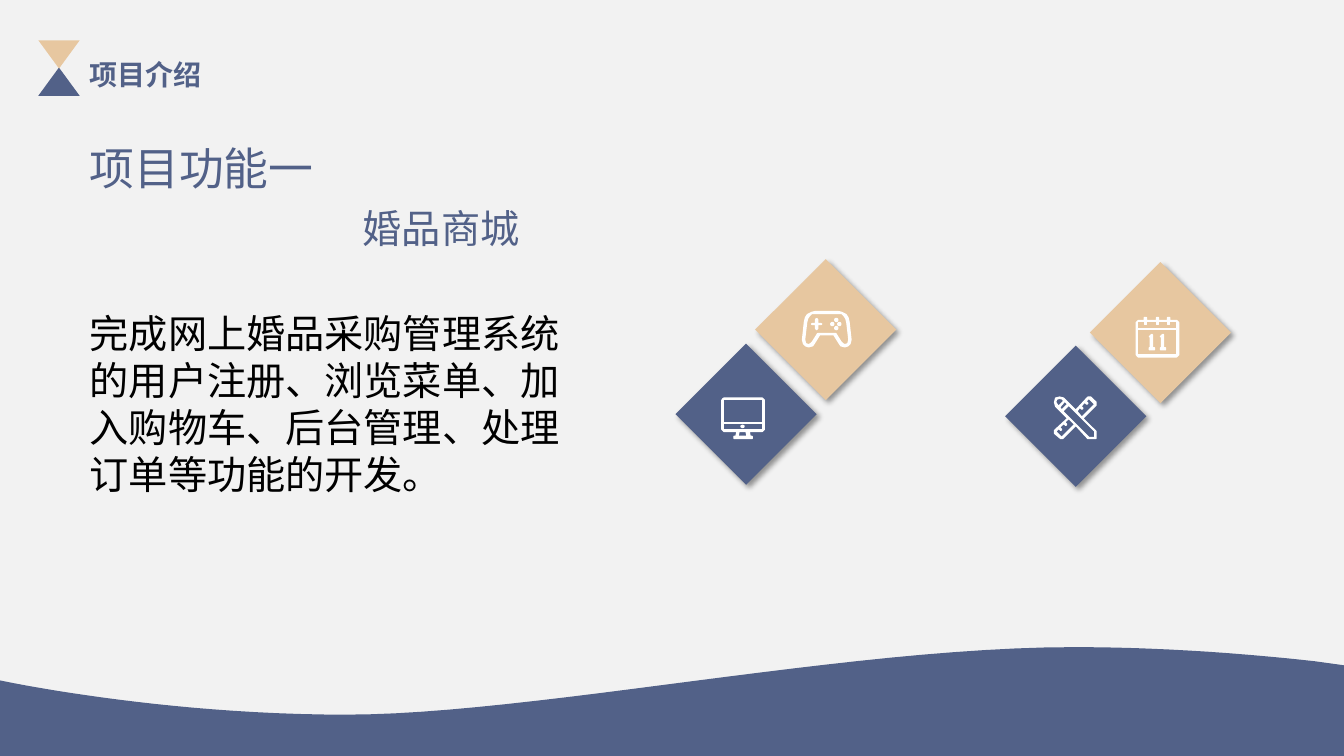
from dataclasses import dataclass

from lxml.etree import SubElement
from pptx import Presentation
from pptx.dml.color import RGBColor
from pptx.enum.shapes import MSO_SHAPE
from pptx.enum.text import MSO_ANCHOR, MSO_AUTO_SIZE, PP_ALIGN
from pptx.oxml.ns import qn
from pptx.util import Emu, Pt

PX = 9144  # EMU in one px: 100 px to the inch
NAVY = RGBColor(0x52, 0x61, 0x88)
SAND = RGBColor(0xE7, 0xC7, 0xA0)
WHITE = RGBColor(0xFF, 0xFF, 0xFF)
BLACK = RGBColor(0, 0, 0)
PAPER = RGBColor(0xF2, 0xF2, 0xF2)
LATIN, CHINESE = "Arial", "Noto Sans CJK SC"
DIAMOND = 140

Point = tuple[float, float]
Contour = list[Point]


@dataclass
class Label:
    text: str
    frame: tuple[int, int, int, int]
    size: int
    color: RGBColor = NAVY
    font: str = LATIN
    bold: bool = False
    align: PP_ALIGN = PP_ALIGN.LEFT


@dataclass
class Preset:
    kind: MSO_SHAPE
    frame: tuple[int, int, int, int]
    color: RGBColor
    rotation: int = 0
    outlined: bool = False
    shadowed: bool = False


def px(*lengths: float) -> list[Emu]:
    return [Emu(round(length * PX)) for length in lengths]


def rectangle(left: int, top: int, right: int, bottom: int) -> Contour:
    return [(left, top), (right, top), (right, bottom), (left, bottom)]


def curve(start: Point, first: Point, second: Point, end: Point, steps: int = 24) -> Contour:
    """Points along a cubic Bezier curve, both ends included."""
    points = []
    for step in range(steps + 1):
        t = step / steps
        weights = ((1 - t) ** 3, 3 * t * (1 - t) ** 2, 3 * t * t * (1 - t), t ** 3)
        corners = (start, first, second, end)
        points.append(tuple(sum(w * c[axis] for w, c in zip(weights, corners)) for axis in (0, 1)))
    return points


def mirrored(half: Contour, axis: int) -> Contour:
    """Close a left half with its reflection in a vertical axis."""
    return half + [(2 * axis - x, y) for x, y in reversed(half)]


def shifted(contour: Contour, dx: int) -> Contour:
    return [(x + dx, y) for x, y in contour]


def paint(shape, color: RGBColor, outlined: bool) -> None:
    shape.shadow.inherit = False
    shape.fill.solid()
    shape.fill.fore_color.rgb = color
    if outlined:
        shape.line.color.rgb = color
        shape.line.width = Pt(1)
    else:
        shape.line.fill.background()


def cast_shadow(shape) -> None:
    effects = shape._element.spPr.find(qn("a:effectLst"))
    shadow = SubElement(effects, qn("a:outerShdw"), blurRad=str(Pt(4)), dist=str(Pt(3)),
                        dir="2700000", algn="tl", rotWithShape="0")
    color = SubElement(shadow, qn("a:srgbClr"), val=str(BLACK))
    SubElement(color, qn("a:alpha"), val="40000")


def draw_preset(shapes, preset: Preset) -> None:
    shape = shapes.add_shape(preset.kind, *px(*preset.frame))
    shape.rotation = preset.rotation
    paint(shape, preset.color, preset.outlined)
    if preset.shadowed:
        cast_shadow(shape)


def draw_outline(shapes, contours: list[Contour], color: RGBColor, outlined: bool = True) -> None:
    """Draw one freeform; inner contours cut holes."""
    builder = shapes.build_freeform(*px(*contours[0][0]), scale=1.0)
    for index, contour in enumerate(contours):
        if index:
            builder.move_to(*px(*contour[0]))
        builder.add_line_segments([px(*point) for point in contour[1:]], close=True)
    paint(builder.convert_to_shape(), color, outlined)


def write_label(box, label: Label) -> None:
    box.left, box.top, box.width, box.height = px(*label.frame)
    frame = box.text_frame
    layout = dict(word_wrap=True, auto_size=MSO_AUTO_SIZE.SHAPE_TO_FIT_TEXT,
                  vertical_anchor=MSO_ANCHOR.TOP)
    for name, value in layout.items():
        setattr(frame, name, value)
    para = frame.paragraphs[0]
    para.alignment = label.align
    para.space_before = Pt(0)
    properties = para._p.get_or_add_pPr()
    properties.set("marL", "0")
    properties.set("indent", "0")
    SubElement(properties, qn("a:buNone"))
    span = para.add_run()
    span.text = label.text
    for name, value in dict(name=label.font, size=Pt(label.size), bold=label.bold).items():
        setattr(span.font, name, value)
    span.font.color.rgb = label.color
    SubElement(span._r.get_or_add_rPr(), qn("a:ea"), typeface=CHINESE)


TITLE = Label("项目介绍", (79, 52, 179, 44), 20, bold=True, align=PP_ALIGN.JUSTIFY)
BODY = Label("完成网上婚品采购管理系统的用户注册、浏览菜单、加入购物车、后台管理、处理订单等功能的开发。",
             (79, 302, 488, 198), 28, BLACK, CHINESE)
HEADINGS = [
    Label("项目功能一", (79, 135, 317, 64), 32, align=PP_ALIGN.JUSTIFY),
    Label("婚品商城", (350, 198, 236, 57), 28),
]
WAVE = (
    curve((0, 675), (0, 675), (157, 709), (343, 709))
    + curve((343, 709), (528, 709), (840, 642), (1065, 642))
    + curve((1065, 642), (1149, 642), (1232, 648), (1304, 656))
    + [(1333, 660), (1333, 753), (0, 753)]
)
HOURGLASS = [
    Preset(MSO_SHAPE.ISOSCELES_TRIANGLE, (38, 67, 41, 28), NAVY),
    Preset(MSO_SHAPE.ISOSCELES_TRIANGLE, (38, 40, 41, 28), SAND, rotation=180),
]
DIAMONDS = [
    Preset(MSO_SHAPE.DIAMOND, (left, top, DIAMOND, DIAMOND), color, shadowed=True)
    for left, top, color in ((670, 341, NAVY), (749, 257, SAND), (997, 343, NAVY), (1081, 260, SAND))
]
DOTS = [
    Preset(MSO_SHAPE.OVAL, frame, WHITE, outlined=True)
    for frame in ((735, 422, 3, 2), (828, 316, 3, 3), (828, 324, 3, 3), (831, 320, 3, 3), (824, 320, 3, 3))
]
TOOLS = [
    [(1087, 435), (1087, 428), (1074, 415), (1087, 402), (1087, 399), (1082, 394), (1079, 394),
     (1067, 407), (1055, 395), (1051, 394), (1047, 395), (1046, 399), (1047, 403), (1059, 415),
     (1046, 427), (1046, 430), (1052, 435), (1054, 435), (1067, 422), (1079, 435)],
    [(1071, 404), (1073, 406), (1074, 405), (1072, 403), (1076, 399), (1078, 401), (1079, 400),
     (1077, 398), (1080, 395), (1086, 401), (1073, 414), (1068, 408)],
    [(1049, 402), (1047, 399), (1048, 396), (1051, 395), (1054, 396), (1055, 398), (1050, 403)],
    [(1051, 404), (1056, 398), (1059, 401), (1053, 407)],
    [(1053, 434), (1047, 428), (1050, 425), (1052, 427), (1053, 426), (1051, 424), (1055, 420),
     (1057, 422), (1058, 421), (1056, 419), (1060, 415), (1066, 421)],
    [(1086, 434), (1080, 434), (1054, 408), (1060, 402), (1086, 428)],
]
MONITOR = [
    mirrored([(718, 395), (716, 397), (716, 426), (718, 428), (731, 428), (730, 433), (728, 433),
              (728, 435)], 737),
    [(732, 433), (733, 428), (740, 428), (741, 433)],
    rectangle(717, 420, 756, 426),
    rectangle(717, 396, 756, 419),
]
RINGS = [1136, 1148, 1159]
CALENDAR = [
    [(1127, 320), (1129, 318)]
    + [(ring + dx, y) for ring in RINGS for dx, y in ((-1, 318), (-1, 315), (1, 315), (1, 318))]
    + [(1167, 318), (1169, 320), (1169, 352), (1167, 354), (1129, 354), (1127, 352)],
    rectangle(1128, 327, 1167, 352),
    [(1128, 319)]
    + [(ring + dx, y) for ring in RINGS for dx, y in ((-1, 319), (-1, 322), (1, 322), (1, 319))]
    + [(1167, 319), (1167, 326), (1128, 326)],
]
ONE = [(1140, 347), (1145, 347), (1145, 345), (1143, 345), (1143, 332), (1142, 332), (1140, 334),
       (1141, 334), (1141, 345), (1140, 345)]
GAMEPAD = [
    mirrored([(809, 309), (805, 310), (801, 312), (799, 315), (798, 319), (796, 337), (797, 341),
              (799, 343), (802, 344), (806, 343), (808, 340), (813, 332)], 820),
    mirrored([(809, 311), (805, 311), (803, 313), (801, 316), (800, 320), (798, 337), (799, 341),
              (802, 342), (804, 341), (806, 339), (811, 331)], 820),
]
PLUS = [(809, 321), (809, 317), (810, 316), (811, 317), (811, 321), (814, 321), (815, 321.5),
        (814, 322), (811, 322), (811, 326), (810, 327), (809, 326), (809, 322), (806, 322),
        (805, 321.5), (806, 321)]
ICONS = [TOOLS, MONITOR, CALENDAR, [ONE], [shifted(ONE, 11)], GAMEPAD, [PLUS]]


def main() -> None:
    deck = Presentation()
    deck.slide_width, deck.slide_height = px(1333, 750)
    page = deck.slides.add_slide(deck.slide_layouts[1])
    page.background.fill.solid()
    page.background.fill.fore_color.rgb = PAPER
    draw_outline(page.shapes, [WAVE], NAVY, outlined=False)

    logo = page.shapes.add_group_shape()
    for triangle in HOURGLASS:
        draw_preset(logo.shapes, triangle)
    emblem = page.shapes.add_group_shape()
    for diamond in DIAMONDS:
        draw_preset(emblem.shapes, diamond)
    for icon in ICONS:
        draw_outline(emblem.shapes, icon, WHITE)
    for dot in DOTS:
        draw_preset(emblem.shapes, dot)

    write_label(page.shapes.title, TITLE)
    write_label(page.placeholders[1], BODY)
    for heading in HEADINGS:
        write_label(page.shapes.add_textbox(*px(*heading.frame)), heading)
    deck.save("out.pptx")


if __name__ == "__main__":
    main()
